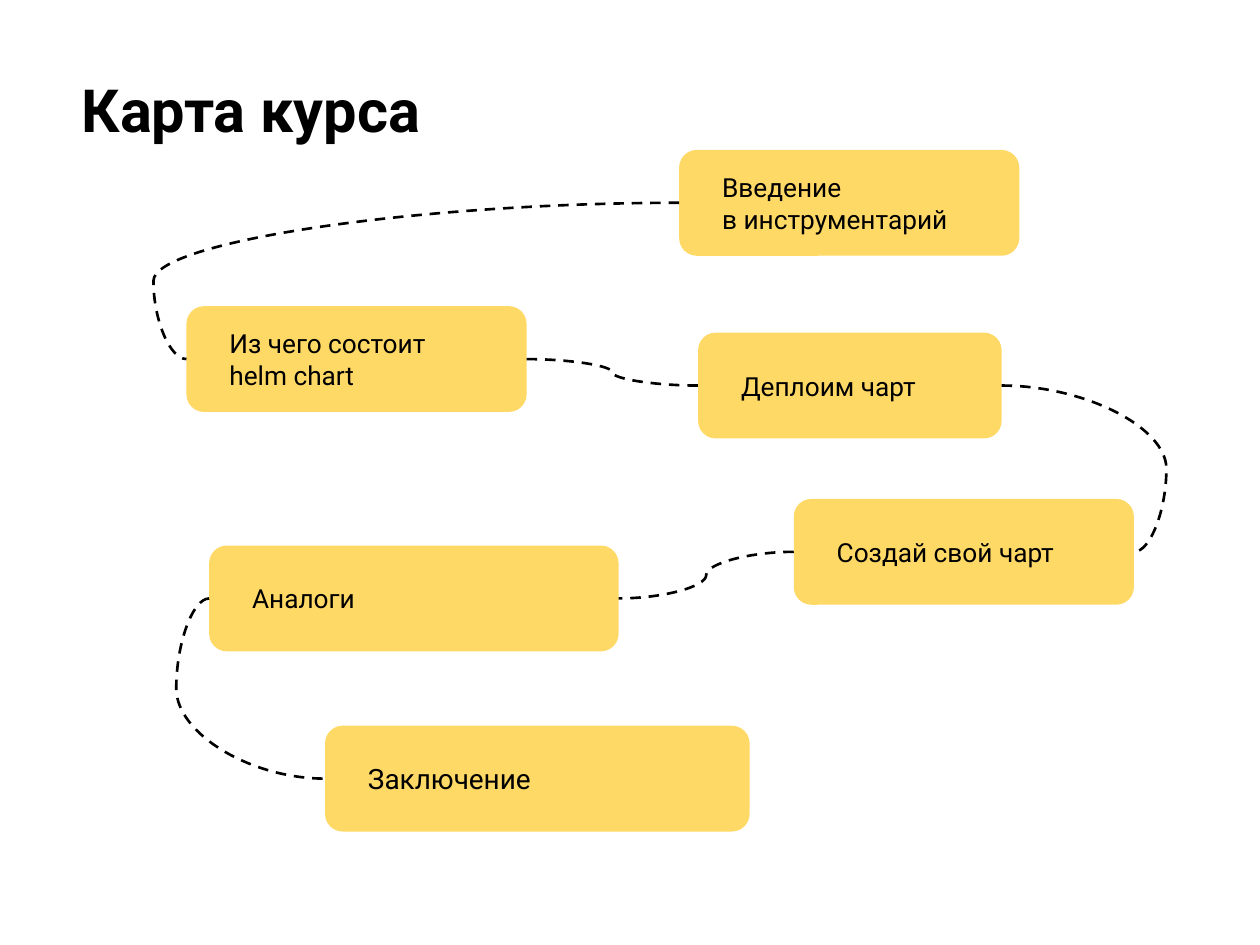
"""Build the course map slide: rounded topic cards joined by dashed curves."""
from lxml.etree import SubElement
from pptx import Presentation
from pptx.dml.color import RGBColor
from pptx.enum.dml import MSO_LINE_DASH_STYLE as DASH
from pptx.enum.shapes import MSO_CONNECTOR, MSO_SHAPE
from pptx.enum.text import MSO_ANCHOR
from pptx.oxml.ns import qn
from pptx.util import Inches, Pt

COLORS = {"card": "FFD966", "ink": "000000"}
FONT = "Roboto"
TITLE = "Карта курса"
CARD_H = 0.84
LEFT, RIGHT = 1, 3

CARDS = {
    "intro": (["Введение", "в инструментарий"], 5.39, 1.19, 2.7, 15),
    "parts": (["Из чего состоит helm chart"], 1.48, 2.43, 2.7, 15),
    "deploy": (["Деплоим чарт"], 5.54, 2.64, 2.41, 15),
    "create": (["Создай свой чарт"], 6.3, 3.96, 2.7, 15),
    "analogs": (["Аналоги"], 1.66, 4.33, 3.25, 15),
    "outro": (["Заключение"], 2.58, 5.76, 3.37, 16),
}
LINKS = [
    ("intro", LEFT, "parts", LEFT, 1.067),
    ("parts", RIGHT, "deploy", LEFT, 0.5),
    ("deploy", RIGHT, "create", RIGHT, 1.245),
    ("create", LEFT, "analogs", RIGHT, 0.5),
    ("analogs", LEFT, "outro", LEFT, -0.284),
]


def color(name):
    return RGBColor.from_string(COLORS[name])


def write(tf, lines, size, side, bold=False):
    tf.word_wrap = True
    tf.margin_left = tf.margin_right = Inches(side)
    tf.margin_top = tf.margin_bottom = Inches(0.1)
    for i, line in enumerate(lines):
        p = tf.add_paragraph() if i else tf.paragraphs[0]
        p.text = line
        p.font.name, p.font.size, p.font.bold = FONT, Pt(size), bold
        p.font.color.rgb = color("ink")


def add_card(s, lines, x, y, w, size):
    sp = s.shapes.add_shape(MSO_SHAPE.ROUNDED_RECTANGLE,
                            Inches(x), Inches(y), Inches(w), Inches(CARD_H))
    sp.adjustments[0] = 0.167
    sp.shadow.inherit = False
    sp.fill.solid()
    sp.fill.fore_color.rgb = color("card")
    sp.line.fill.background()
    tf = sp.text_frame
    tf.vertical_anchor = MSO_ANCHOR.MIDDLE
    write(tf, lines, size, 0.3)
    for p in tf.paragraphs:
        p.alignment = 1
    return sp


def add_link(s, start, start_site, end, end_site, bend):
    cxn = s.shapes.add_connector(MSO_CONNECTOR.CURVE, 0, 0, 0, 0)
    cxn.begin_connect(start, start_site)
    cxn.end_connect(end, end_site)
    cxn.line.color.rgb = color("ink")
    cxn.line.width = Pt(1.5)
    cxn.line.dash_style = DASH.DASH
    props = cxn._element.spPr
    SubElement(props, qn("a:effectLst"))
    guides = props.find(qn("a:prstGeom")).find(qn("a:avLst"))
    SubElement(guides, qn("a:gd"), name="adj1", fmla=f"val {round(bend * 100000)}")


def main():
    prs = Presentation()
    prs.slide_width, prs.slide_height = Inches(10), Inches(7.5)
    s = prs.slides.add_slide(prs.slide_layouts[6])
    title = s.shapes.add_textbox(Inches(0.55), Inches(0.48), Inches(9.32), Inches(1.43))
    write(title.text_frame, [TITLE], 34, 0.1, bold=True)
    cards = {key: add_card(s, *card) for key, card in CARDS.items()}
    for start, start_site, end, end_site, bend in LINKS:
        add_link(s, cards[start], start_site, cards[end], end_site, bend)
    prs.save("out.pptx")


if __name__ == "__main__":
    main()
